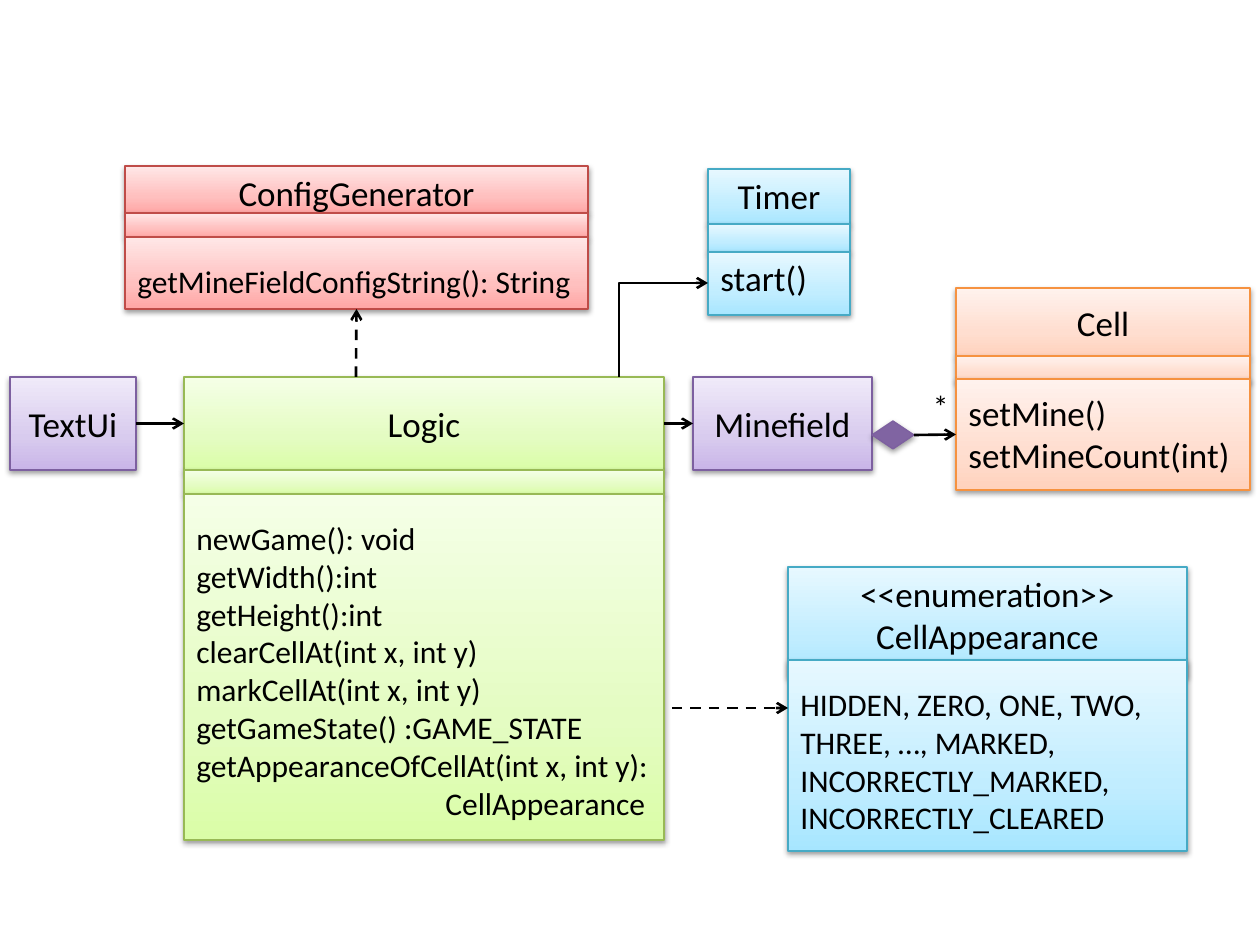
"""Build a UML class diagram slide for a minefield game."""
from copy import deepcopy
from dataclasses import dataclass
from typing import Optional

from lxml.etree import SubElement
from pptx import Presentation
from pptx.dml.color import RGBColor
from pptx.enum.dml import MSO_LINE
from pptx.enum.shapes import MSO_CONNECTOR, MSO_SHAPE
from pptx.enum.text import MSO_ANCHOR, PP_ALIGN
from pptx.oxml.ns import qn
from pptx.util import Emu, Pt

PIXELS_PER_INCH = 126
BLACK = RGBColor(0x00, 0x00, 0x00)
DIAMOND_FILL = RGBColor(0x80, 0x64, 0xA2)
GRADIENT_POSITIONS = (0, 0.35, 1)


@dataclass(frozen=True)
class Palette:
    line: RGBColor
    stops: tuple[RGBColor, RGBColor, RGBColor]


@dataclass(frozen=True)
class Compartment:
    top: int
    height: int
    text: str = ""
    size: int = 20
    inset: int = 5
    centred: bool = False


@dataclass(frozen=True)
class ClassBox:
    name: str
    left: int
    width: int
    palette: Palette
    compartments: tuple[Compartment, ...]


@dataclass(frozen=True)
class Arrow:
    begin: tuple[int, int]
    end: tuple[int, int]
    source: Optional[tuple[str, int]] = None
    target: Optional[tuple[str, int]] = None
    dashed: bool = False
    elbow: bool = False


PURPLE = Palette(RGBColor(0x7D, 0x60, 0xA0), (
    RGBColor(0xC9, 0xB5, 0xE8), RGBColor(0xD8, 0xCB, 0xEE), RGBColor(0xF0, 0xEA, 0xF9)))
GREEN = Palette(RGBColor(0x98, 0xB9, 0x55), (
    RGBColor(0xDA, 0xFD, 0xA7), RGBColor(0xE4, 0xFC, 0xC2), RGBColor(0xF5, 0xFF, 0xE7)))
BLUE = Palette(RGBColor(0x46, 0xAA, 0xC5), (
    RGBColor(0xA7, 0xE6, 0xFF), RGBColor(0xC1, 0xED, 0xFF), RGBColor(0xE7, 0xF8, 0xFF)))
RED = Palette(RGBColor(0xBF, 0x4C, 0x48), (
    RGBColor(0xFF, 0xA6, 0xA5), RGBColor(0xFF, 0xC0, 0xBF), RGBColor(0xFF, 0xE7, 0xE7)))
ORANGE = Palette(RGBColor(0xF6, 0x92, 0x40), (
    RGBColor(0xFF, 0xD2, 0xBD), RGBColor(0xFF, 0xDE, 0xD0), RGBColor(0xFF, 0xF2, 0xED)))

LOGIC_METHODS = "\n".join((
    "newGame(): void", "getWidth():int", "getHeight():int",
    "clearCellAt(int x, int y)", "markCellAt(int x, int y)",
    "getGameState() :GAME_STATE",
    "getAppearanceOfCellAt(int x, int y):\v\tCellAppearance"))
APPEARANCES = "HIDDEN, ZERO, ONE, TWO, THREE, …, MARKED, INCORRECTLY_MARKED, INCORRECTLY_CLEARED"

CLASS_BOXES = (
    ClassBox("TextUi", 10, 126, PURPLE, (Compartment(377, 93, "TextUi", 20, 25, True),)),
    ClassBox("Minefield", 693, 179, PURPLE, (Compartment(377, 93, "Minefield", 20, 25, True),)),
    ClassBox("Logic", 184, 480, GREEN, (
        Compartment(377, 93, "Logic", 20, 25, True),
        Compartment(470, 24),
        Compartment(494, 346, LOGIC_METHODS, 18, 25))),
    ClassBox("CellAppearance", 788, 399, BLUE, (
        Compartment(567, 110, "<<enumeration>>\vCellAppearance", 20, 5, True),
        Compartment(660, 191, APPEARANCES, 18, 25))),
    ClassBox("ConfigGenerator", 125, 463, RED, (
        Compartment(166, 47, "ConfigGenerator", 20, 5, True),
        Compartment(213, 24),
        Compartment(237, 72, "getMineFieldConfigString(): String", 18, 25))),
    ClassBox("Timer", 708, 142, BLUE, (
        Compartment(169, 55, "Timer", 20, 5, True),
        Compartment(224, 28),
        Compartment(252, 63, "start()"))),
    ClassBox("Cell", 956, 294, ORANGE, (
        Compartment(288, 68, "Cell", 20, 13, True),
        Compartment(356, 26),
        Compartment(379, 111, "setMine()\vsetMineCount(int)", 20, 13))),
)

ARROWS = (
    Arrow((136, 423), (184, 423), ("TextUi", 3), ("Logic", 1)),
    Arrow((664, 423), (693, 423), ("Logic", 3), ("Minefield", 1)),
    Arrow((356, 377), (356, 309), target=("ConfigGenerator body", 2), dashed=True),
    Arrow((672, 708), (788, 708), dashed=True),
    Arrow((619, 377), (708, 283), target=("Timer body", 1), elbow=True),
    Arrow((914, 435), (956, 435), ("Diamond", 3), ("Cell body", 1)),
)


def px(length: float) -> Emu:
    """Turn pixels into EMU."""
    return Emu(round(length * 914400 / PIXELS_PER_INCH))


def apply(target, values: dict) -> None:
    """Set every named attribute on the target."""
    for name, value in values.items():
        setattr(target, name, value)


def add_shadow(shape) -> None:
    """Give the shape a soft shadow below it."""
    shape.shadow.inherit = False
    effects = shape._element.spPr.find(qn("a:effectLst"))
    shadow = SubElement(effects, qn("a:outerShdw"), blurRad="40000", dist="20000",
                        dir="5400000", rotWithShape="0")
    color = SubElement(shadow, qn("a:srgbClr"), val="000000")
    SubElement(color, qn("a:alpha"), val="38000")


def fill_gradient(shape, palette: Palette) -> None:
    """Fill the shape with the three stops of its palette, rising upwards."""
    shape.fill.gradient()
    shape.fill.gradient_angle = 90
    stop_list = shape._element.spPr.find(".//" + qn("a:gsLst"))
    stop_list.append(deepcopy(stop_list[-1]))
    for stop, position, color in zip(shape.fill.gradient_stops, GRADIENT_POSITIONS, palette.stops):
        stop.position = position
        stop.color.rgb = color


def write_text(shape, text: str, size: int, centred: bool, frame_format: dict) -> None:
    """Write the text with one font, placing tabs at a fixed stop."""
    frame = shape.text_frame
    apply(frame, frame_format)
    frame.text = text
    for paragraph in frame.paragraphs:
        paragraph.alignment = PP_ALIGN.CENTER if centred else PP_ALIGN.LEFT
        if "\t" in paragraph.text:
            tabs = SubElement(paragraph._p.get_or_add_pPr(), qn("a:tabLst"))
            SubElement(tabs, qn("a:tab"), pos=str(px(249)), algn="l")
        for run in paragraph.runs:
            apply(run.font, {"name": "Calibri", "size": Pt(size)})
            run.font.color.rgb = BLACK


def add_class_box(slide, box: ClassBox) -> dict:
    """Stack the compartments of a class and return its header and body."""
    shapes = []
    for part in box.compartments:
        shape = slide.shapes.add_shape(
            MSO_SHAPE.RECTANGLE, px(box.left), px(part.top), px(box.width), px(part.height))
        fill_gradient(shape, box.palette)
        shape.line.color.rgb = box.palette.line
        shape.line.width = Pt(0.75)
        add_shadow(shape)
        if part.text:
            write_text(shape, part.text, part.size, part.centred, {
                "word_wrap": True, "vertical_anchor": MSO_ANCHOR.TOP,
                "margin_left": Pt(7.2), "margin_right": Pt(7.2),
                "margin_top": px(part.inset), "margin_bottom": px(part.inset)})
        shapes.append(shape)
    return {box.name: shapes[0], f"{box.name} body": shapes[-1]}


def add_diamond(slide):
    """Draw the composition diamond and its multiplicity."""
    diamond = slide.shapes.add_shape(
        MSO_SHAPE.FLOWCHART_DECISION, px(872), px(421), px(42), px(28))
    diamond.fill.solid()
    diamond.fill.fore_color.rgb = DIAMOND_FILL
    diamond.line.color.rgb = PURPLE.line
    diamond.line.width = Pt(0.75)
    add_shadow(diamond)
    label = slide.shapes.add_textbox(px(924), px(381), px(21), px(49))
    write_text(label, "*", 18, False, {
        "word_wrap": False, "margin_left": px(9), "margin_right": 0})
    return diamond


def add_arrow(slide, arrow: Arrow, shapes: dict) -> None:
    """Draw an open-headed arrow, joined to shapes where it meets them."""
    kind = MSO_CONNECTOR.ELBOW if arrow.elbow else MSO_CONNECTOR.STRAIGHT
    connector = slide.shapes.add_connector(kind, *map(px, arrow.begin + arrow.end))
    if arrow.source:
        connector.begin_connect(shapes[arrow.source[0]], arrow.source[1])
    if arrow.target:
        connector.end_connect(shapes[arrow.target[0]], arrow.target[1])
    apply(connector.line, {"width": Pt(1.5)})
    connector.line.color.rgb = BLACK
    if arrow.dashed:
        connector.line.dash_style = MSO_LINE.DASH
    properties = connector._element.spPr
    SubElement(connector.line._get_or_add_ln(), qn("a:tailEnd"), type="arrow")
    SubElement(properties, qn("a:effectLst"))
    if arrow.elbow:
        (x1, y1), (x2, y2) = arrow.begin, arrow.end
        width, height = y1 - y2, x2 - x1
        apply(connector, {"left": px((x1 + x2 - width) / 2), "top": px((y1 + y2 - height) / 2),
                          "width": px(width), "height": px(height)})
        properties.find(qn("a:prstGeom")).set("prst", "bentConnector2")
        for name, value in {"rot": "5400000", "flipH": "1", "flipV": "1"}.items():
            properties.find(qn("a:xfrm")).set(name, value)


def main() -> None:
    """Build and save the slide."""
    presentation = Presentation()
    apply(presentation, {"slide_width": px(1260), "slide_height": px(945)})
    slide = presentation.slides.add_slide(presentation.slide_layouts[6])
    shapes = {}
    for box in CLASS_BOXES:
        shapes.update(add_class_box(slide, box))
    shapes["Diamond"] = add_diamond(slide)
    for arrow in ARROWS:
        add_arrow(slide, arrow, shapes)
    presentation.save("out.pptx")


if __name__ == "__main__":
    main()
